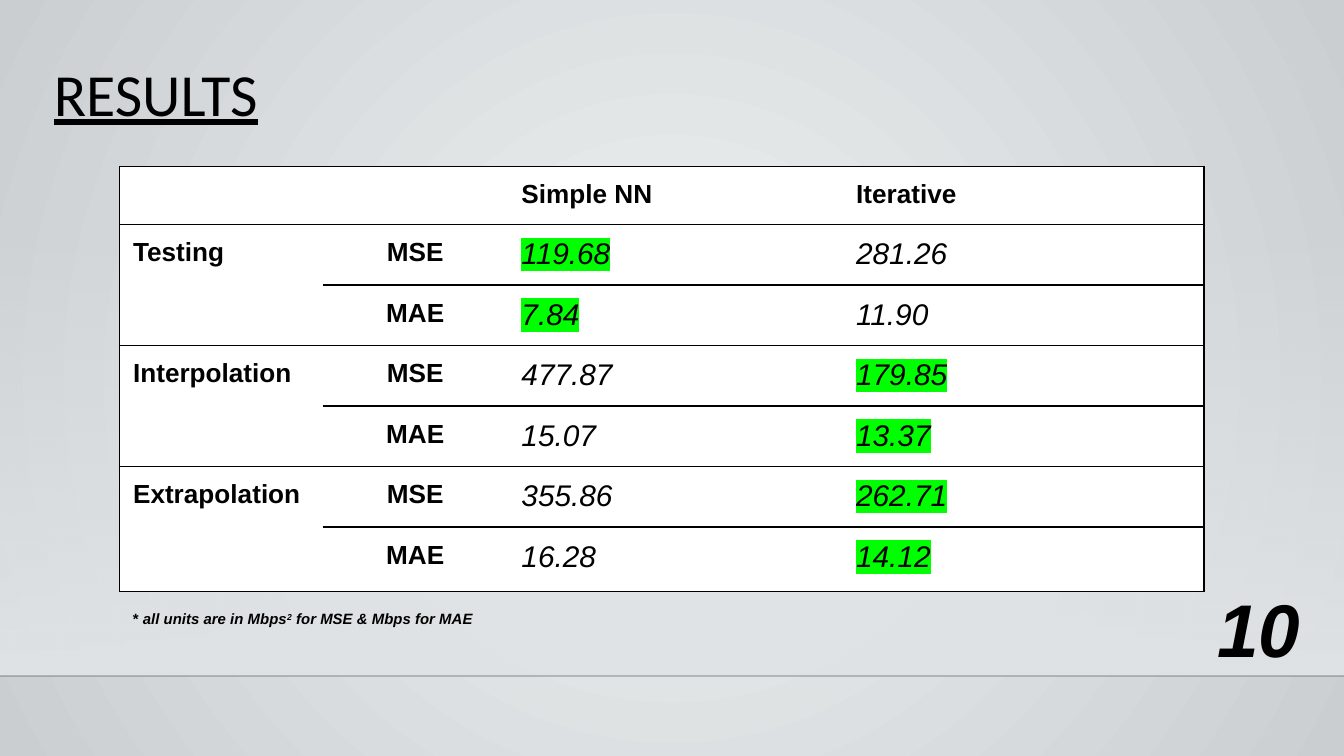
import dataclasses

import lxml.etree
import pptx
import pptx.dml.color
import pptx.enum.shapes
import pptx.enum.text
import pptx.oxml.ns
import pptx.util

Inches = pptx.util.Inches
Pt = pptx.util.Pt
qn = pptx.oxml.ns.qn
ALIGN = pptx.enum.text.PP_ALIGN


@dataclasses.dataclass(frozen=True)
class Theme:
    ink: str = "000000"
    rule: str = "000001"
    paper: str = "FFFFFF"
    best: str = "00FF00"
    center: str = "F0F2F3"
    edge: str = "CACED0"
    band: str = "DFE3E5"
    heading_font: str = "Calibri"
    body_font: str = "Arial"
    title: int = 32
    page: int = 40
    value: int = 16
    label: int = 14
    note: int = 8


THEME = Theme()
SLIDE_WIDTH = Inches(10)
SLIDE_HEIGHT = SLIDE_WIDTH * 9 // 16
HEADERS = ["Simple NN", "Iterative"]
# Data set, index of the better model, then one row of values per metric
RESULTS = [
    ("Testing", 0, {"MSE": ["119.68", "281.26"], "MAE": ["7.84", "11.90"]}),
    ("Interpolation", 1, {"MSE": ["477.87", "179.85"], "MAE": ["15.07", "13.37"]}),
    ("Extrapolation", 1, {"MSE": ["355.86", "262.71"], "MAE": ["16.28", "14.12"]}),
]
COLUMN_WIDTHS = [1.51, 1.38, 2.49, 2.69]
ROW_HEIGHTS = [0.43] + [0.45] * 5 + [0.48]


def rgb(color):
    return pptx.dml.color.RGBColor.from_string(color)


def write(paragraph, text, *, size, font=THEME.body_font, bold=False, italic=False,
          underline=False, highlight=None, baseline=None, align=ALIGN.LEFT):
    paragraph.alignment = align
    run = paragraph.add_run()
    run.text = text
    run.font.size = Pt(size)
    run.font.name = font
    run.font.bold = bold
    run.font.italic = italic
    run.font.underline = underline
    run.font.color.rgb = rgb(THEME.ink)
    properties = run._r.get_or_add_rPr()
    if highlight:
        mark = lxml.etree.Element(qn("a:highlight"))
        lxml.etree.SubElement(mark, qn("a:srgbClr"), val=highlight)
        properties.find(qn("a:solidFill")).addnext(mark)
    if baseline:
        properties.set("baseline", str(baseline * 1000))


def set_margins(target, size):
    target.margin_left = target.margin_right = Inches(size)
    target.margin_top = target.margin_bottom = Inches(size)


def replace_gradient(gradient, stops, direction):
    """Fill a gradFill element with (position, colour, opacity) stops, in percent."""
    for child in list(gradient):
        gradient.remove(child)
    stop_list = lxml.etree.SubElement(gradient, qn("a:gsLst"))
    for position, color, opacity in stops:
        stop = lxml.etree.SubElement(stop_list, qn("a:gs"), pos=str(position * 1000))
        value = lxml.etree.SubElement(stop, qn("a:srgbClr"), val=color)
        if opacity < 100:
            lxml.etree.SubElement(value, qn("a:alpha"), val=str(opacity * 1000))
    gradient.append(direction)


def paint_background(slide):
    slide.background.fill.gradient()
    direction = lxml.etree.Element(qn("a:path"), path="circle")
    lxml.etree.SubElement(direction, qn("a:fillToRect"),
                          l="50000", t="50000", r="50000", b="50000")
    replace_gradient(slide.element.find(".//" + qn("a:gradFill")),
                     [(0, THEME.center, 100), (100, THEME.edge, 100)], direction)


def add_band(slide):
    """Add the fading floor and its rule behind the title."""
    band = slide.shapes.add_shape(pptx.enum.shapes.MSO_SHAPE.RECTANGLE,
                                  Inches(0), Inches(1.66), SLIDE_WIDTH, Inches(3.37))
    band.shadow.inherit = False
    band.line.fill.background()
    band.fill.gradient()
    replace_gradient(band.element.find(".//" + qn("a:gradFill")),
                     [(0, THEME.band, 0), (100, THEME.band, 100)],
                     lxml.etree.Element(qn("a:lin"), ang="5400000", scaled="0"))
    rule = slide.shapes.add_connector(pptx.enum.shapes.MSO_CONNECTOR.STRAIGHT,
                                      Inches(0), Inches(5.03), SLIDE_WIDTH, Inches(5.03))
    rule.line.width = Pt(1)
    rule.line.color.rgb = rgb(THEME.rule)
    color = rule.element.find(".//" + qn("a:ln")).find(".//" + qn("a:srgbClr"))
    lxml.etree.SubElement(color, qn("a:alpha"), val="20000")
    lxml.etree.SubElement(rule.element.spPr, qn("a:effectLst"))
    for shape in (band, rule):
        slide.shapes.title.element.addprevious(shape.element)


def add_title(slide, text):
    title = slide.shapes.title
    title.left, title.top = Inches(0.3), Inches(0.36)
    title.width, title.height = Inches(6.92), Inches(0.72)
    frame = title.text_frame
    frame.vertical_anchor = pptx.enum.text.MSO_ANCHOR.MIDDLE
    set_margins(frame, 0.1)
    frame.paragraphs[0].line_spacing = 0.9
    write(frame.paragraphs[0], text, size=THEME.title, font=THEME.heading_font,
          underline=True)


def add_text_box(slide, left, top, width, height):
    frame = slide.shapes.add_textbox(Inches(left), Inches(top),
                                     Inches(width), Inches(height)).text_frame
    frame.word_wrap = True
    frame.auto_size = pptx.enum.text.MSO_AUTO_SIZE.SHAPE_TO_FIT_TEXT
    return frame.paragraphs[0]


def style_cell(cell, edges):
    """Draw the named edges (L, R, T, B), hide the others and fill the cell."""
    properties = cell._tc.get_or_add_tcPr()
    for edge in "LRTB":
        line = lxml.etree.SubElement(properties, qn("a:ln" + edge), w=str(Pt(1)))
        if edge in edges:
            fill = lxml.etree.SubElement(line, qn("a:solidFill"))
            lxml.etree.SubElement(fill, qn("a:srgbClr"), val=THEME.ink)
        else:
            lxml.etree.SubElement(line, qn("a:noFill"))
    cell.fill.solid()
    cell.fill.fore_color.rgb = rgb(THEME.paper)


def fill_cell(cell, text, **text_format):
    set_margins(cell, 0.1)
    write(cell.text_frame.paragraphs[0], text, **text_format)


def add_results_table(slide):
    table = slide.shapes.add_table(
        len(ROW_HEIGHTS), len(COLUMN_WIDTHS), Inches(0.89), Inches(1.24),
        Inches(sum(COLUMN_WIDTHS)), Inches(sum(ROW_HEIGHTS))).table
    table.first_row = table.horz_banding = False
    for column, width in zip(table.columns, COLUMN_WIDTHS):
        column.width = Inches(width)
    for row, height in zip(table.rows, ROW_HEIGHTS):
        row.height = Inches(height)

    label = {"size": THEME.label, "bold": True}
    for column, header in enumerate(HEADERS, 2):
        fill_cell(table.cell(0, column), header, **label)
    row = 1
    for name, best, metrics in RESULTS:
        table.cell(row, 0).merge(table.cell(row + 1, 0))
        fill_cell(table.cell(row, 0), name, **label)
        for metric, values in metrics.items():
            fill_cell(table.cell(row, 1), metric, align=ALIGN.CENTER, **label)
            for index, value in enumerate(values):
                fill_cell(table.cell(row, index + 2), value, size=THEME.value, italic=True,
                          highlight=THEME.best if index == best else None)
            row += 1

    side_edges = {0: "L", len(COLUMN_WIDTHS) - 1: "R"}
    for row in range(len(ROW_HEIGHTS)):
        for column in range(len(COLUMN_WIDTHS)):
            cell = table.cell(row, column)
            level_edges = "B" if cell.is_spanned else "TB"
            style_cell(cell, side_edges.get(column, "") + level_edges)


def main():
    presentation = pptx.Presentation()
    presentation.slide_width, presentation.slide_height = SLIDE_WIDTH, SLIDE_HEIGHT
    slide = presentation.slides.add_slide(presentation.slide_layouts[5])
    paint_background(slide)
    add_band(slide)
    add_title(slide, "RESULTS")
    add_results_table(slide)
    write(add_text_box(slide, 8.96, 4.29, 0.9, 0.77), "10",
          size=THEME.page, bold=True, italic=True)
    note = add_text_box(slide, 0.89, 4.49, 5.39, 0.24)
    write(note, "* ", size=THEME.note, bold=True)
    for text, baseline in [("all units are in Mbps", None), ("2", 30),
                           (" for MSE & Mbps for MAE", None)]:
        write(note, text, size=THEME.note, bold=True, italic=True, baseline=baseline)
    presentation.save("out.pptx")


if __name__ == "__main__":
    main()
